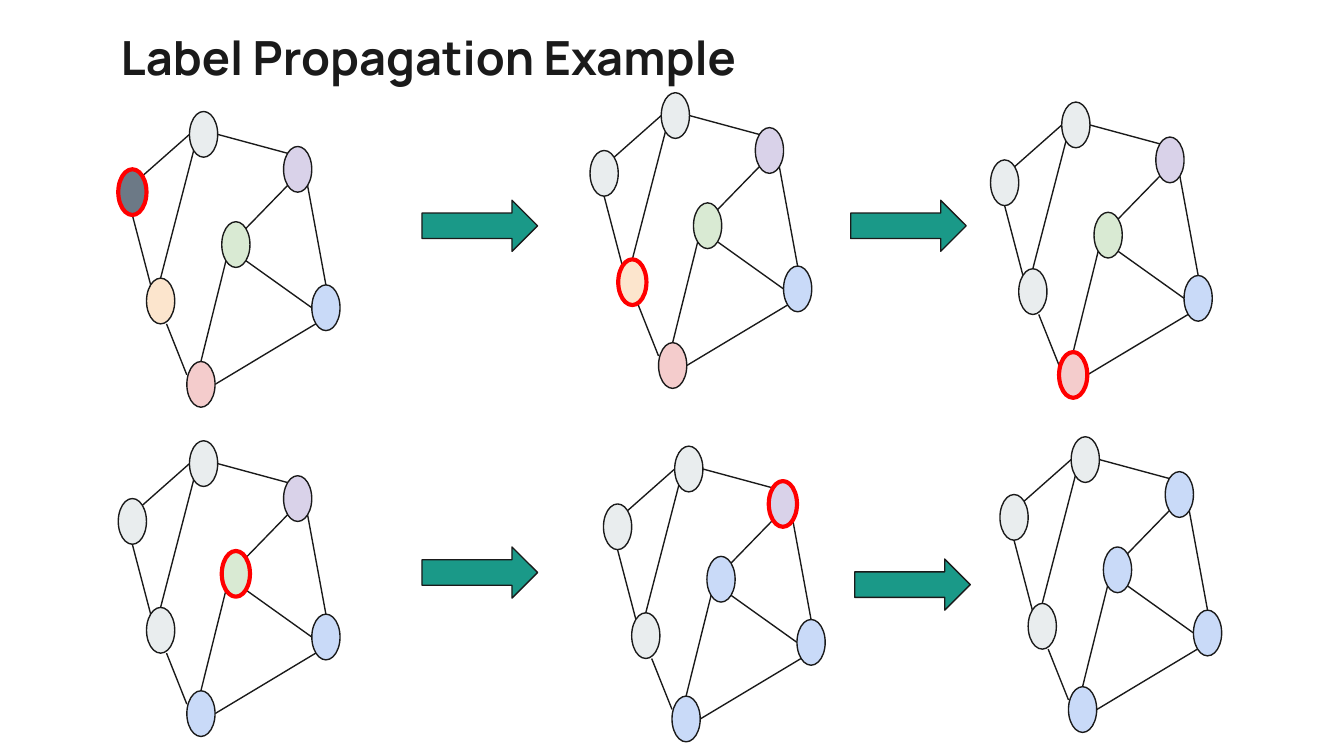
import dataclasses

import pptx
import pptx.dml.color
import pptx.enum.shapes
import pptx.enum.text
import pptx.oxml
import pptx.oxml.ns
import pptx.util
from pptx.util import Inches

INK, RED, TEAL = "1A1A1A", "FF0000", "1A9988"
GRAY, SLATE, BLUE = "E9EDEE", "6C7986", "C9DAF8"
LILAC, GREEN, PINK, PEACH = "D9D2E9", "D9EAD3", "F4CCCC", "FCE5CD"
WIDE, HIGH = 0.21, 0.34

# Node places, measured from the left node of a graph
NODES = {
    "left": (0, 0),
    "top": (0.53, -0.43),
    "right": (1.23, -0.17),
    "mid": (0.77, 0.39),
    "east": (1.44, 0.86),
    "base": (0.51, 1.43),
    "west": (0.21, 0.81),
}

# Points on a node, as shares of its width and height
SITES = {
    "n": (0.5, 0), "e": (1, 0.5), "s": (0.5, 1), "w": (0, 0.5),
    "nw": (0.15, 0.15), "ne": (0.85, 0.15),
    "sw": (0.15, 0.85), "se": (0.85, 0.85),
    "upper": (0, 0.29), "lower": (0.71, 1),
}


@dataclasses.dataclass
class Edge:
    start: str
    exit: str
    end: str
    entry: str


@dataclasses.dataclass
class Graph:
    left: float
    top: float
    fills: tuple[str, ...]  # in the order of NODES
    active: str = ""


@dataclasses.dataclass
class Arrow:
    left: float
    top: float


EDGES = [
    Edge("left", "ne", "top", "w"),
    Edge("top", "e", "right", "nw"),
    Edge("right", "se", "east", "n"),
    Edge("east", "w", "mid", "se"),
    Edge("mid", "ne", "right", "sw"),
    Edge("base", "e", "east", "sw"),
    Edge("base", "n", "mid", "sw"),
    Edge("base", "upper", "west", "lower"),
    Edge("west", "nw", "left", "s"),
    Edge("west", "n", "top", "sw"),
]

GRAPHS = [
    Graph(0.88, 1.26, (SLATE, GRAY, LILAC, GREEN, BLUE, PINK, PEACH), "left"),
    Graph(4.39, 1.12, (GRAY, GRAY, LILAC, GREEN, BLUE, PINK, PEACH), "west"),
    Graph(7.37, 1.19, (GRAY, GRAY, LILAC, GREEN, BLUE, PINK, GRAY), "base"),
    Graph(0.88, 3.71, (GRAY, GRAY, LILAC, GREEN, BLUE, BLUE, GRAY), "mid"),
    Graph(4.49, 3.75, (GRAY, GRAY, LILAC, BLUE, BLUE, BLUE, GRAY), "right"),
    Graph(7.44, 3.68, (GRAY, GRAY, BLUE, BLUE, BLUE, BLUE, GRAY)),
]

ARROWS = [Arrow(3.14, 1.49), Arrow(6.33, 1.49),
          Arrow(3.14, 4.07), Arrow(6.36, 4.16)]


def color(code: str) -> pptx.dml.color.RGBColor:
    return pptx.dml.color.RGBColor.from_string(code)


def add_shape(slide, kind, box: tuple, fill: str,
              line: str = INK, weight: float = 0.75) -> None:
    shape = slide.shapes.add_shape(kind, *map(Inches, box))
    shape.shadow.inherit = False
    shape.fill.solid()
    shape.fill.fore_color.rgb = color(fill)
    shape.line.color.rgb = color(line)
    shape.line.width = pptx.util.Pt(weight)


def find_site(graph: Graph, node: str, site: str) -> tuple:
    x, y = NODES[node]
    across, down = SITES[site]
    return (Inches(graph.left + x + across * WIDE),
            Inches(graph.top + y + down * HIGH))


def draw_edge(slide, graph: Graph, edge: Edge) -> None:
    line = slide.shapes.add_connector(
        pptx.enum.shapes.MSO_CONNECTOR.STRAIGHT,
        *find_site(graph, edge.start, edge.exit),
        *find_site(graph, edge.end, edge.entry))
    line.line.color.rgb = color(INK)
    line.line.width = pptx.util.Pt(0.75)
    props = line._element.spPr
    props.append(pptx.oxml.parse_xml(
        f"<a:effectLst {pptx.oxml.ns.nsdecls('a')}/>"))


def draw_graph(slide, graph: Graph) -> None:
    for edge in EDGES:
        draw_edge(slide, graph, edge)
    for (name, (x, y)), fill in zip(NODES.items(), graph.fills):
        line, weight = (RED, 2.25) if name == graph.active else (INK, 0.75)
        add_shape(slide, pptx.enum.shapes.MSO_SHAPE.OVAL,
                  (graph.left + x, graph.top + y, WIDE, HIGH),
                  fill, line, weight)


def draw_arrow(slide, arrow: Arrow) -> None:
    add_shape(slide, pptx.enum.shapes.MSO_SHAPE.RIGHT_ARROW,
              (arrow.left, arrow.top, 0.86, 0.38), TEAL)


def draw_title(slide, text: str) -> None:
    box = slide.shapes.add_textbox(
        Inches(0.8), Inches(0.11), Inches(8.41), Inches(0.59))
    frame = box.text_frame
    frame.word_wrap = True
    frame.vertical_anchor = pptx.enum.text.MSO_ANCHOR.TOP
    frame.margin_left = frame.margin_right = Inches(0.1)
    frame.margin_top = frame.margin_bottom = Inches(0.1)
    line = frame.paragraphs[0]
    line.text = text
    line.font.name = "Manrope"
    line.font.size = pptx.util.Pt(25.2)
    line.font.bold = True
    line.font.color.rgb = color(INK)


def main() -> None:
    deck = pptx.Presentation()
    # Widescreen, 16 to 9
    deck.slide_width, deck.slide_height = Inches(10), Inches(10 * 9 / 16)
    slide = deck.slides.add_slide(deck.slide_layouts[6])

    # Title
    draw_title(slide, "Label Propagation Example")

    # Steps of the propagation
    for graph in GRAPHS:
        draw_graph(slide, graph)

    # Arrows between steps
    for arrow in ARROWS:
        draw_arrow(slide, arrow)

    deck.save("out.pptx")


if __name__ == "__main__":
    main()
